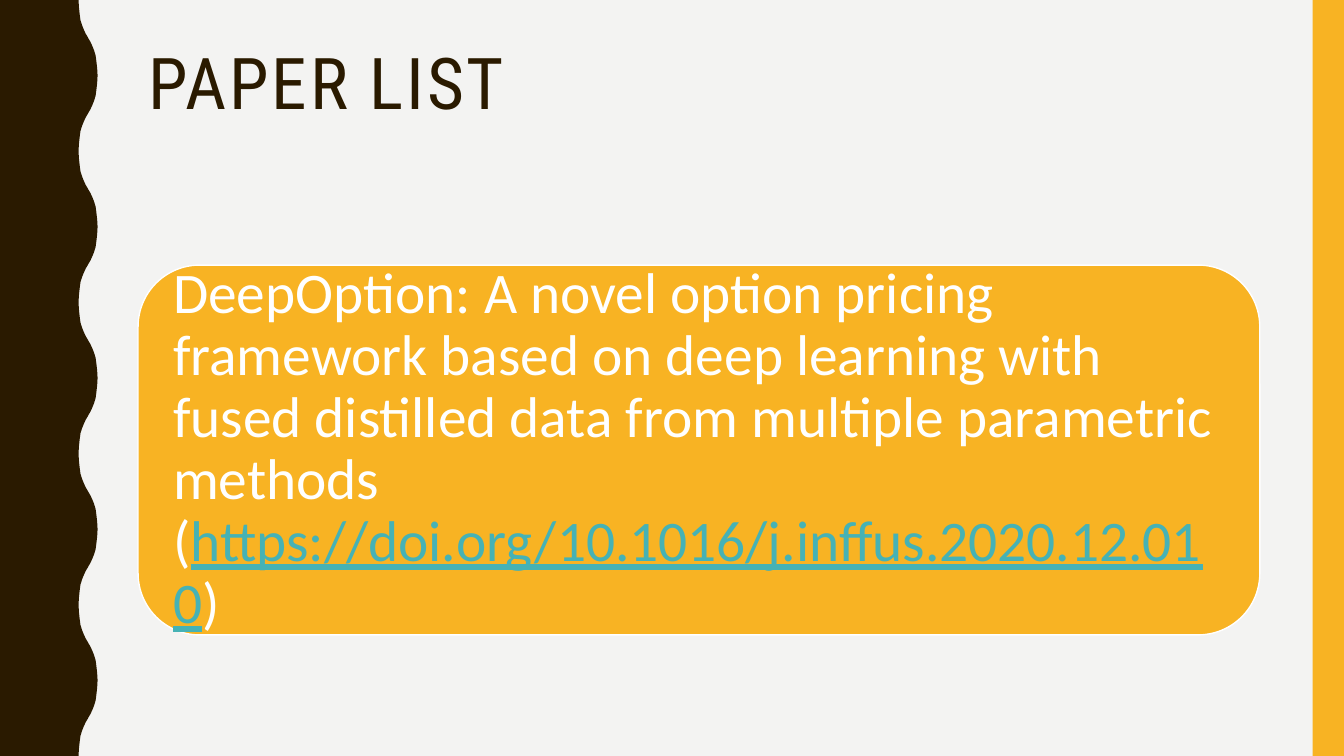
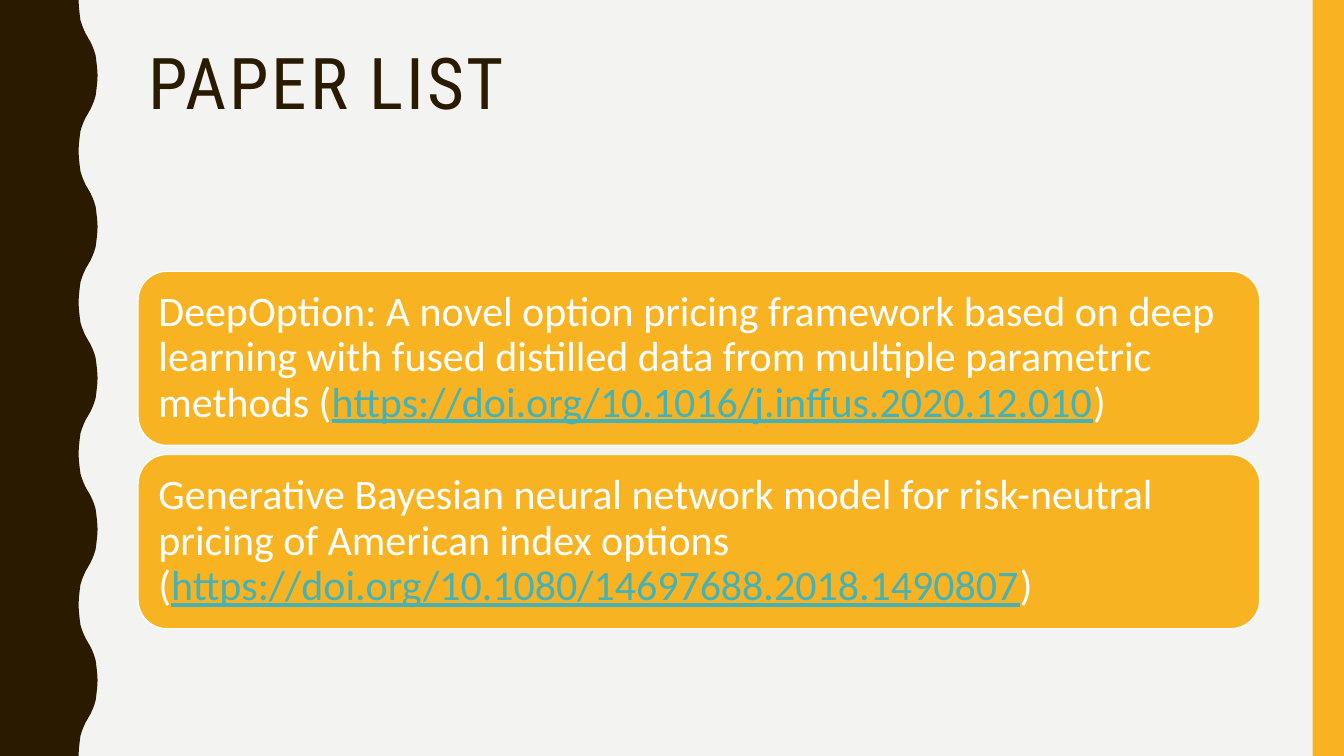
from dataclasses import dataclass

from pptx import Presentation
from pptx.dml.color import RGBColor
from pptx.enum import shapes as es, text as et
from pptx.util import Cm, Pt

BROWN = RGBColor(0x2A, 0x1A, 0x00)
GOLD = RGBColor(0xF8, 0xB3, 0x23)
TEAL = RGBColor(0x46, 0xB2, 0xB5)
PALE = RGBColor(0xF3, 0xF3, 0xF2)
WHITE = RGBColor(0xFF, 0xFF, 0xFF)

# Lengths in centimetres
WIDE, HIGH = 33.87, 19.05
LEFT, SPAN = 3.48, 28.27
MID = 11.34  # centre line of the card stack
GAP = 0.23
EDGE = 0.79

# Wave: a quarter of one period as (x, y), the rest follows by symmetry
WAVES = 5
HALF = HIGH / WAVES / 2
CURVE = [(1.98, 0), (1.99, 0.18), (2.01, 0.36), (2.03, 0.51),
         (2.07, 0.64), (2.11, 0.74), (2.16, 0.85), (2.22, 0.95)]


@dataclass(frozen=True)
class Paper:
    name: str
    link: str


@dataclass(frozen=True)
class Page:
    papers: list[Paper]
    high: float  # card height
    inset: float
    size: int


DEEP = Paper("DeepOption: A novel option pricing framework based on deep "
             "learning with fused distilled data from multiple parametric "
             "methods", "https://doi.org/10.1016/j.inffus.2020.12.010")
BAYES = Paper("Generative Bayesian neural network model for risk-neutral "
              "pricing of American index options",
              "https://doi.org/10.1080/14697688.2018.1490807")
PAGES = [Page([DEEP], 9.32, 0.43, 41), Page([DEEP, BAYES], 4.39, 0.3, 30)]


def paint(shape, color: RGBColor) -> None:
    shape.shadow.inherit = False
    shape.fill.solid()
    shape.fill.fore_color.rgb = color
    shape.line.fill.background()


def wave() -> list[tuple[float, float]]:
    """Points of the wavy edge, from top to bottom."""
    turn = 2 * CURVE[-1][0]
    rise = CURVE + [(turn - x, HALF - y) for x, y in reversed(CURVE)]
    cycle = rise + [(x, 2 * HALF - y) for x, y in reversed(rise)]
    return [(x, y + 2 * HALF * i) for i in range(WAVES) for x, y in cycle]


def dress(layout, slide) -> None:
    """Give the layout its background, side bands and title place."""
    layout.background.fill.solid()
    layout.background.fill.fore_color.rgb = PALE
    pen = slide.shapes.build_freeform(0, 0, scale=1.0)
    pts = [*wave(), (0, HIGH)]
    pen.add_line_segments([(Cm(x), Cm(y)) for x, y in pts], close=True)
    band = pen.convert_to_shape()
    paint(band, BROWN)
    strip = slide.shapes.add_shape(
        es.MSO_SHAPE.RECTANGLE, Cm(WIDE - EDGE), 0, Cm(EDGE), Cm(HIGH))
    paint(strip, GOLD)
    # The bands belong to the layout, so every slide shows them
    for part in (band, strip):
        layout.shapes.element.append(part.element)
    for hold in layout.placeholders:
        if hold.placeholder_format.type == es.PP_PLACEHOLDER.TITLE:
            hold.left, hold.top = Cm(LEFT), Cm(1.07)
            hold.width, hold.height = Cm(SPAN), Cm(4.14)


def head(slide, words: str) -> None:
    frame = slide.shapes.title.text_frame
    frame.text = words
    frame.auto_size = et.MSO_AUTO_SIZE.NONE
    frame.vertical_anchor = et.MSO_ANCHOR.TOP
    para = frame.paragraphs[0]
    para.alignment = et.PP_ALIGN.LEFT
    para.line_spacing = 0.9
    para.font.name, para.font.size = "Roboto Condensed", Pt(51)
    para.font.color.rgb = BROWN
    para.runs[0]._r.get_or_add_rPr().set("spc", "200")


def card(slide, paper: Paper, top: float, page: Page) -> None:
    box = slide.shapes.add_shape(
        es.MSO_SHAPE.ROUNDED_RECTANGLE,
        Cm(LEFT), Cm(top), Cm(SPAN), Cm(page.high))
    paint(box, GOLD)
    box.line.color.rgb = WHITE
    box.line.width = Pt(1)
    frame = box.text_frame
    frame.word_wrap = True
    frame.vertical_anchor = et.MSO_ANCHOR.MIDDLE
    frame.margin_left = frame.margin_right = Cm(page.inset)
    frame.margin_top = frame.margin_bottom = Cm(page.inset)
    para = frame.paragraphs[0]
    para.alignment = et.PP_ALIGN.LEFT
    para.line_spacing = 0.9
    para.font.name, para.font.size = "Calibri", Pt(page.size)
    para.font.color.rgb = WHITE
    for words in (f"{paper.name} (", paper.link, ")"):
        run = para.add_run()
        run.text = words
        if words == paper.link:
            run.font.color.rgb = TEAL
            run.font.underline = True


def main() -> None:
    prs = Presentation()
    prs.slide_width, prs.slide_height = Cm(WIDE), Cm(HIGH)
    layout = prs.slide_layouts[5]
    for i, page in enumerate(PAGES):
        slide = prs.slides.add_slide(layout)
        if i == 0:
            dress(layout, slide)
        head(slide, "PAPER LIST")
        # Stack the cards evenly around the centre line
        step = page.high + GAP
        top = MID - (len(page.papers) * step - GAP) / 2
        for row, paper in enumerate(page.papers):
            card(slide, paper, top + row * step, page)
    prs.save("out.pptx")


if __name__ == "__main__":
    main()
